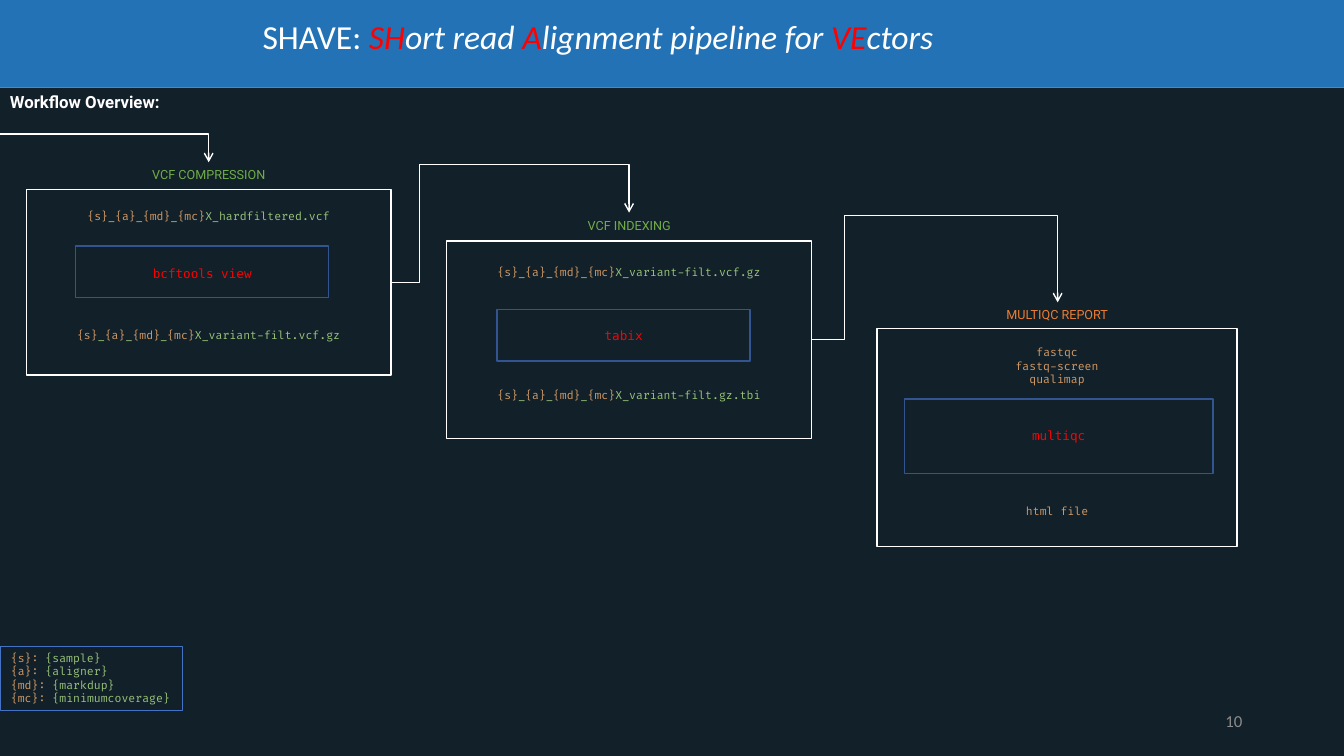
import dataclasses

import lxml.etree
import pptx
import pptx.dml.color
import pptx.enum.shapes
import pptx.enum.text
import pptx.oxml.ns
import pptx.util

Inches = pptx.util.Inches
Pt = pptx.util.Pt
ALIGN = pptx.enum.text.PP_ALIGN
ANCHOR = pptx.enum.text.MSO_ANCHOR
qn = pptx.oxml.ns.qn


@dataclasses.dataclass(frozen=True)
class Theme:
    background: str = "122029"
    banner: str = "2372B6"
    white: str = "FFFFFF"
    red: str = "FF0000"
    grey: str = "8C8C8C"
    green: str = "70AD47"
    orange: str = "ED7D31"
    variable: str = "D19A66"
    literal: str = "98C379"
    tool_line: str = "325491"
    legend_line: str = "4472C4"
    title_size: int = 24
    body_size: int = 12
    label_size: int = 9
    code_size: int = 8
    title_font: str = "Calibri"
    label_font: str = "Roboto"
    tool_font: str = "DejaVu Sans Mono"
    code_font: str = "Fira Code"


T = Theme()


def rgb(value):
    return pptx.dml.color.RGBColor.from_string(value)


def write_text(sp, paragraphs, *, size, font, color=T.white, align=ALIGN.CENTER,
               anchor=ANCHOR.TOP, bold=False, wrap=True, grow=True):
    tf = sp.text_frame
    tf.word_wrap = wrap
    tf.vertical_anchor = anchor
    if grow:
        tf.auto_size = pptx.enum.text.MSO_AUTO_SIZE.SHAPE_TO_FIT_TEXT
    for i, runs in enumerate(paragraphs):
        p = tf.add_paragraph() if i else tf.paragraphs[0]
        p.alignment = align
        for text, run_color, italic in runs:
            r = p.add_run()
            r.text = text
            r.font.size = Pt(size)
            r.font.name = font
            r.font.bold = bold
            r.font.italic = italic
            r.font.color.rgb = rgb(run_color or color)


def plain(*lines):
    return [[(line, None, False)] for line in lines]


def add_text(s, left, top, width, height, paragraphs, **style):
    sp = s.shapes.add_textbox(Inches(left), Inches(top), Inches(width), Inches(height))
    write_text(sp, paragraphs, **style)


def add_box(s, left, top, width, height, fill=None, line=None, weight=1):
    sp = s.shapes.add_shape(pptx.enum.shapes.MSO_SHAPE.RECTANGLE, Inches(left),
                            Inches(top), Inches(width), Inches(height))
    sp.shadow.inherit = False
    if fill:
        sp.fill.solid()
        sp.fill.fore_color.rgb = rgb(fill)
    else:
        sp.fill.background()
    if line:
        sp.line.color.rgb = rgb(line)
        sp.line.width = Pt(weight)
    else:
        sp.line.fill.background()
    return sp


def add_bent_arrow(s, start, end, preset, adjustments=()):
    cx = s.shapes.add_connector(pptx.enum.shapes.MSO_CONNECTOR.ELBOW,
                                *(Inches(v) for v in start + end))
    cx.line.color.rgb = rgb(T.white)
    cx.line.width = Pt(1)
    sp_pr = cx._element.spPr
    geometry = sp_pr.find(qn("a:prstGeom"))
    geometry.set("prst", preset)
    guides = geometry.find(qn("a:avLst"))
    for i, value in enumerate(adjustments, 1):
        lxml.etree.SubElement(guides, qn("a:gd"), name=f"adj{i}",
                              fmla=f"val {round(value * 100000)}")
    lxml.etree.SubElement(cx.line._get_or_add_ln(), qn("a:tailEnd"), type="arrow")
    lxml.etree.SubElement(sp_pr, qn("a:effectLst"))


def add_step_arrow(s, start, end, turn_x, turn_y):
    across = (turn_x - start[0]) / (end[0] - start[0])
    up = (start[1] - turn_y) / (start[1] - end[1])
    add_bent_arrow(s, start, end, "bentConnector4", (across, up))


def file_name(suffix):
    runs = []
    for variable in ("{s}", "{a}", "{md}", "{mc}"):
        runs += [(variable, T.variable, False), ("_", T.literal, False)]
    runs[-1] = (suffix, T.literal, False)
    return [runs]


def add_stage(s, label, label_top, label_color, frame, tool, tool_top, tool_frame, files):
    left, _, width, _ = frame
    add_box(s, *frame, line=T.white)
    add_box(s, *tool_frame, line=T.tool_line)
    add_text(s, left, label_top, width, 0.25, plain(label),
             size=T.label_size, font=T.label_font, color=label_color)
    add_text(s, tool_frame[0], tool_top, tool_frame[2], 0.25, plain(tool),
             size=T.label_size, font=T.tool_font, color=T.red)
    for top, paragraphs in files:
        add_text(s, left, top, width, 0.24, paragraphs,
                 size=T.code_size, font=T.code_font, color=T.variable)


def add_legend(s):
    meanings = {"{s}:": " {sample}", "{a}:": " {aligner}",
                "{md}:": " {markdup}", "{mc}:": " {minimumcoverage}"}
    sp = add_box(s, 0.01, 6.41, 1.8, 0.64, line=T.legend_line, weight=0.75)
    write_text(sp, [[(key, T.variable, False), (value, T.literal, False)]
                    for key, value in meanings.items()],
               size=T.code_size, font=T.code_font, align=ALIGN.LEFT)


def add_header(s):
    add_box(s, 0, 0.87, 13.33, 6.63, fill=T.background)
    add_box(s, 0, 0, 13.33, 0.87, fill=T.banner)
    title = [("SHAVE: ", None, False), ("SH", T.red, True), ("ort read ", None, True),
             ("A", T.red, True), ("lignment pipeline for ", None, True),
             ("VE", T.red, True), ("ctors", None, True)]
    add_text(s, 2.47, 0.11, 6.92, 0.5, [title],
             size=T.title_size, font=T.title_font, wrap=False)
    add_text(s, 0, 0.86, 2.08, 0.3, plain("Workflow Overview:"),
             size=T.body_size, font=T.label_font, align=ALIGN.LEFT, bold=True)
    add_text(s, 9.42, 6.95, 3, 0.4, plain("10"), size=T.body_size, font=T.title_font,
             color=T.grey, align=ALIGN.RIGHT, anchor=ANCHOR.MIDDLE, grow=False)


def main():
    prs = pptx.Presentation()
    prs.slide_width = Inches(13.33)
    prs.slide_height = Inches(7.5)
    s = prs.slides.add_slide(prs.slide_layouts[6])
    add_header(s)
    add_stage(s, "VCF COMPRESSION", 1.61, T.green, (0.26, 1.88, 3.62, 1.84),
              "bcftools view", 2.59, (0.75, 2.44, 2.51, 0.51),
              [(2.03, file_name("X_hardfiltered.vcf")),
               (3.21, file_name("X_variant-filt.vcf.gz"))])
    add_stage(s, "VCF INDEXING", 2.11, T.green, (4.43, 2.39, 3.62, 1.96),
              "tabix", 3.2, (4.93, 3.07, 2.51, 0.51),
              [(2.58, file_name("X_variant-filt.vcf.gz")),
               (3.8, file_name("X_variant-filt.gz.tbi"))])
    add_stage(s, "MULTIQC REPORT", 3, T.orange, (8.7, 3.26, 3.57, 2.16),
              "multiqc", 4.2, (8.97, 3.96, 3.06, 0.74),
              [(3.38, plain("fastqc", "fastq-screen", "qualimap")),
               (4.95, plain("html file"))])
    add_bent_arrow(s, (0, 1.33), (2.07, 1.61), "bentConnector2")
    add_step_arrow(s, (3.88, 2.8), (6.24, 2.11), 4.16, 1.63)
    add_step_arrow(s, (8.05, 3.37), (10.49, 3), 8.38, 2.14)
    add_legend(s)
    prs.save("out.pptx")


if __name__ == "__main__":
    main()
